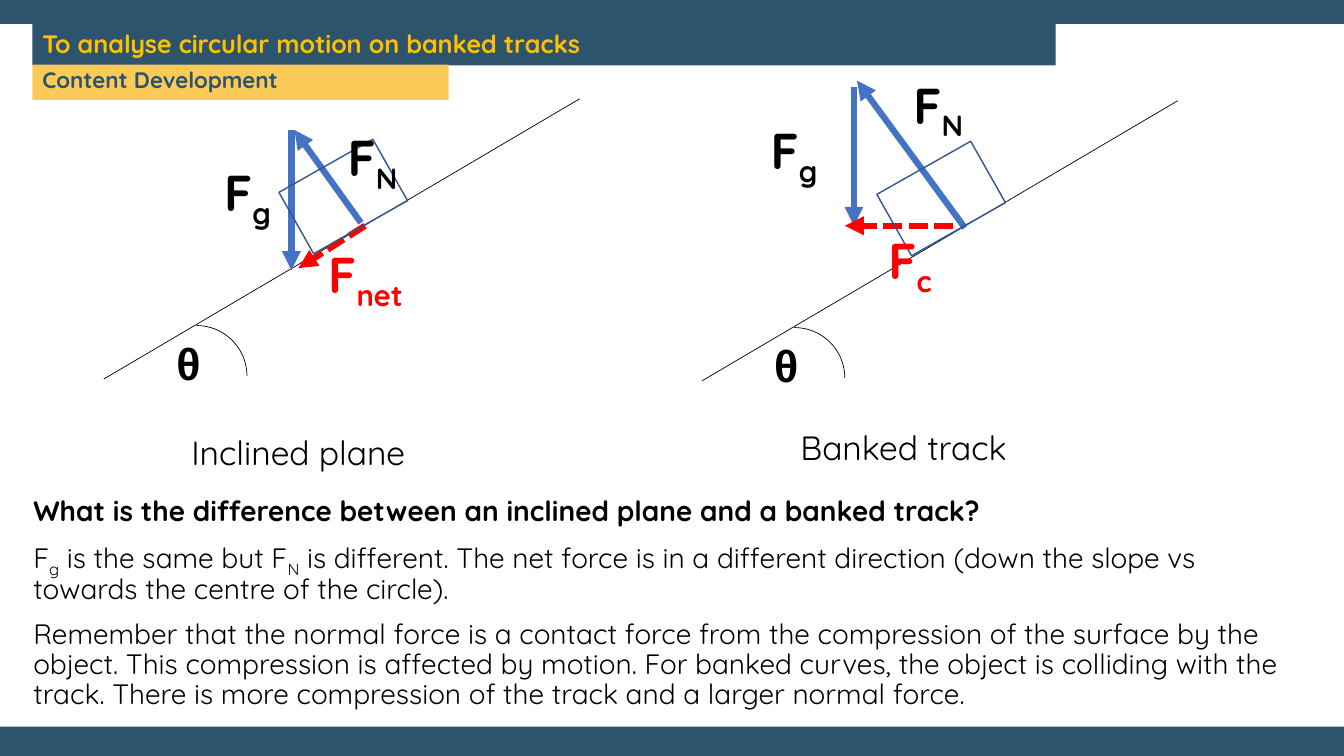
from lxml.etree import SubElement
from pptx import Presentation
from pptx.dml.color import RGBColor
from pptx.enum.dml import MSO_LINE
from pptx.enum.shapes import MSO_CONNECTOR, MSO_SHAPE
from pptx.enum.text import MSO_ANCHOR, MSO_AUTO_SIZE, PP_ALIGN
from pptx.oxml.ns import qn
from pptx.util import Inches, Pt

# Content: text runs are (text, is_subscript)
COLORS = {"navy": "2E546D", "white": "FFFFFF", "gold": "FFC000", "sand": "FBCA58",
          "black": "000000", "blue": "4472C4", "outline": "325491", "red": "FF0000"}
FONT = "Quicksand"
TITLE = "To analyse circular motion on banked tracks"
SECTION = "Content Development"
QUESTION = "What is the difference between an inclined plane and a banked track?"
ANSWERS = [
    [("F", False), ("g", True), (" is the same but F", False), ("N", True),
     (" is different. The net force is in a different direction (down the slope vs "
      "towards the centre of the circle).", False)],
    [("Remember that the normal force is a contact force from the compression of the "
      "surface by the object. This compression is affected by motion. For banked curves, "
      "the object is colliding with the track. There is more compression of the track "
      "and a larger normal force.", False)],
]
# Arrows: start, end, color. Labels: subscript, left, top, color.
DIAGRAMS = [
    {"caption": "Inclined plane", "caption_at": (1.8, 4.28), "offset": (0, 0),
     "arrows": [((3.58, 2.21), (2.92, 1.29), "blue"),
                ((2.89, 1.29), (2.89, 2.68), "blue"),
                ((3.62, 2.24), (2.96, 2.66), "red")],
     "labels": [("N", 2.89, 0.83, "black"), ("g", 1.65, 1.18, "black"),
                ("net", 2.82, 1.99, "red")]},
    {"caption": "Banked track", "caption_at": (7.84, 4.23), "offset": (5.93, 0.02),
     "arrows": [((9.57, 2.26), (8.5, 0.8), "blue"),
                ((8.47, 0.86), (8.47, 2.24), "blue"),
                ((9.45, 2.24), (8.38, 2.24), "red")],
     "labels": [("N", 8.5, 0.31, "black"), ("g", 7.07, 0.76, "black"),
                ("c", 8.22, 1.85, "red")]},
]


def rgb(name):
    return RGBColor.from_string(COLORS[name])


def place(shape, left, top, width, height):
    shape.left, shape.top = Inches(left), Inches(top)
    shape.width, shape.height = Inches(width), Inches(height)


def write(para, spans, size, color, bold=False, font=FONT, align=PP_ALIGN.LEFT,
          spacing=0.9, before=0):
    props = para._p.get_or_add_pPr()
    props.set("marL", "0")
    props.set("indent", "0")
    SubElement(props, qn("a:buNone"))
    para.alignment, para.line_spacing, para.space_before = align, spacing, Pt(before)
    para.font.name, para.font.size, para.font.bold = font, Pt(size), bold
    para.font.color.rgb = rgb(color)
    for text, is_subscript in spans:
        span = para.add_run()
        span.text = text
        if is_subscript:
            span._r.get_or_add_rPr().set("baseline", "-25000")


def setup_frame(shape, anchor=MSO_ANCHOR.TOP):
    frame = shape.text_frame
    frame.word_wrap, frame.auto_size = True, MSO_AUTO_SIZE.NONE
    frame.vertical_anchor = anchor
    return frame


def add_text(page, bounds, spans, size, color, anchor=MSO_ANCHOR.TOP, **style):
    box = page.shapes.add_textbox(*map(Inches, bounds))
    write(setup_frame(box, anchor).paragraphs[0], spans, size, color, **style)


def add_shape(page, kind, bounds, fill=None, line=None, weight=1):
    shape = page.shapes.add_shape(kind, *map(Inches, bounds))
    shape.shadow.inherit = False
    if fill:
        shape.fill.solid()
        shape.fill.fore_color.rgb = rgb(fill)
    else:
        shape.fill.background()
    if line:
        shape.line.color.rgb = rgb(line)
        shape.line.width = Pt(weight)
    else:
        shape.line.fill.background()
    return shape


def add_line(page, start, end, color, weight):
    line = page.shapes.add_connector(MSO_CONNECTOR.STRAIGHT, *map(Inches, start + end))
    line.line.color.rgb = rgb(color)
    line.line.width = Pt(weight)
    SubElement(line._element.spPr, qn("a:effectLst"))
    return line


def add_arrow(page, start, end, color):
    arrow = add_line(page, start, end, color, 4.5)
    if color == "red":
        arrow.line.dash_style = MSO_LINE.SQUARE_DOT
    SubElement(arrow.line._get_or_add_ln(), qn("a:tailEnd"), type="triangle")


def draw_diagram(page, diagram):
    dx, dy = diagram["offset"]
    # Slope, block and angle are the same in both diagrams
    add_line(page, (1.03 + dx, 3.76 + dy), (5.75 + dx, 0.98 + dy), "black", 0.5)
    for arrow in diagram["arrows"]:
        add_arrow(page, *arrow)
    block = add_shape(page, MSO_SHAPE.RECTANGLE, (2.87 + dx, 1.6 + dy, 1.07, 0.7),
                      line="outline")
    block.rotation = 330.5
    for subscript, left, top, color in diagram["labels"]:
        add_text(page, (left, top, 1.61, 1.53), [("F", False), (subscript, True)], 36,
                 color, MSO_ANCHOR.MIDDLE, bold=True, align=PP_ALIGN.CENTER, spacing=1)
    add_text(page, (1.65 + dx, 3.34 + dy, 0.52, 0.97), [("θ", False)], 32, "black",
             bold=True, font="Arial")
    add_shape(page, MSO_SHAPE.ARC, (1.45 + dx, 3.23 + dy, 1, 1), line="black", weight=0.5)
    add_text(page, diagram["caption_at"] + (2.93, 0.58), [(diagram["caption"], False)],
             24, "black")


def main():
    deck = Presentation()
    deck.slide_width, deck.slide_height = Inches(13.33), Inches(7.5)
    page = deck.slides.add_slide(deck.slide_layouts.get_by_name("Two Content"))
    title, section, explanation = page.placeholders

    # Navy frame around a white panel, behind everything else
    panels = [((0, 0, 13.33, 7.5), "navy"), ((0, 0.24, 13.33, 6.97), "white")]
    for depth, (bounds, color) in enumerate(panels):
        panel = add_shape(page, MSO_SHAPE.RECTANGLE, bounds, fill=color)
        page.shapes._spTree.insert(2 + depth, panel._element)

    # Heading banners
    banners = [
        (title, (0.32, 0.24, 10.15, 0.41), "navy", TITLE, 18, "gold", MSO_ANCHOR.MIDDLE),
        (section, (0.32, 0.64, 4.13, 0.35), "sand", SECTION, 16, "navy", MSO_ANCHOR.TOP),
    ]
    for banner, bounds, fill, text, size, color, anchor in banners:
        place(banner, *bounds)
        banner.fill.solid()
        banner.fill.fore_color.rgb = rgb(fill)
        write(setup_frame(banner, anchor).paragraphs[0], [(text, False)], size, color,
              bold=True)

    for diagram in DIAGRAMS:
        draw_diagram(page, diagram)

    # Question and answers
    place(explanation, 0.23, 4.88, 12.72, 2.25)
    frame = setup_frame(explanation)
    write(frame.paragraphs[0], [(QUESTION, False)], 20, "black", bold=True)
    for spans in ANSWERS:
        write(frame.add_paragraph(), spans, 20, "black", before=10)

    deck.save("out.pptx")


if __name__ == "__main__":
    main()
